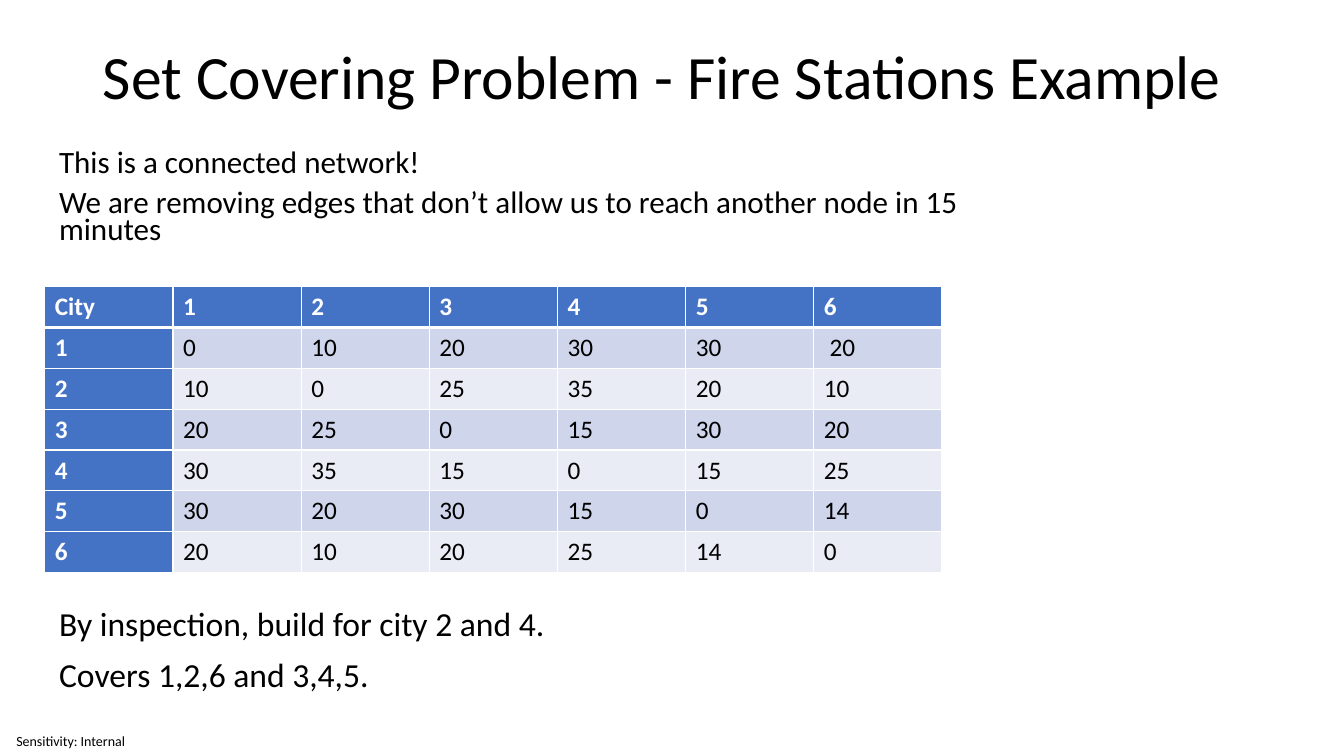
from lxml.etree import SubElement
from pptx import Presentation
from pptx.dml.color import RGBColor
from pptx.enum.text import MSO_ANCHOR, PP_ALIGN
from pptx.oxml.ns import qn
from pptx.util import Cm, Pt

BLACK, WHITE, BLUE = "000000", "FFFFFF", "4472C4"
BANDS = ("CFD5EA", "E9EBF5")


def color(value):
    return RGBColor.from_string(value)


class SlideBuilder:
    """Holds the style and the current slide."""

    font_name = "Calibri"

    def __init__(self, slide):
        self.slide = slide

    def add_text(self, paragraph, text, size, text_color=BLACK, bold=False):
        run = paragraph.add_run()
        run.text = text
        run.font.name = self.font_name
        run.font.size = Pt(size)
        run.font.bold = bold
        run.font.color.rgb = color(text_color)

    def title(self, text, left, top, width, height, size):
        shape = self.slide.shapes.title
        shape.left, shape.top = Cm(left), Cm(top)
        shape.width, shape.height = Cm(width), Cm(height)
        shape.text_frame.vertical_anchor = MSO_ANCHOR.MIDDLE
        paragraph = shape.text_frame.paragraphs[0]
        paragraph.alignment = PP_ALIGN.LEFT
        paragraph.line_spacing = 0.9
        self.add_text(paragraph, text, size)

    def text_box(self, lines, left, top, width, height, size, spacing=1.0):
        shape = self.slide.shapes.add_textbox(Cm(left), Cm(top), Cm(width), Cm(height))
        frame = shape.text_frame
        frame.word_wrap = True
        for index, line in enumerate(lines):
            paragraph = frame.add_paragraph() if index else frame.paragraphs[0]
            paragraph.line_spacing = spacing
            if index:
                paragraph.space_before = Pt(10)
            self.add_text(paragraph, line, size)
        return frame

    def border(self, cell, side, width):
        line = SubElement(cell._tc.get_or_add_tcPr(), qn(f"a:ln{side}"), w=str(Pt(width)))
        fill = SubElement(line, qn("a:solidFill"))
        SubElement(fill, qn("a:srgbClr"), val=WHITE)

    def table(self, rows, left, top, column_width, row_height, size):
        shape = self.slide.shapes.add_table(
            len(rows), len(rows[0]), Cm(left), Cm(top),
            Cm(column_width * len(rows[0])), Cm(row_height * len(rows)))
        table = shape.table
        table.first_col = True
        for row_index, values in enumerate(rows):
            table.rows[row_index].height = Cm(row_height)
            for column_index, value in enumerate(values):
                cell = table.cell(row_index, column_index)
                heading = row_index == 0 or column_index == 0
                # Thick rule between the header row and the first city
                thick_side = {0: "B", 1: "T"}.get(row_index)
                for side in "LRTB":
                    self.border(cell, side, 3 if side == thick_side else 1)
                cell.fill.solid()
                cell.fill.fore_color.rgb = color(BLUE if heading else BANDS[(row_index - 1) % 2])
                self.add_text(cell.text_frame.paragraphs[0], value, size,
                              WHITE if heading else BLACK, heading)
        for column in table.columns:
            column.width = Cm(column_width)


def main():
    presentation = Presentation()
    presentation.slide_width, presentation.slide_height = Cm(33.87), Cm(19.05)
    builder = SlideBuilder(presentation.slides.add_slide(presentation.slide_layouts[5]))

    # Sensitivity label
    label = builder.text_box(["Sensitivity: Internal"], 0, 18.31, 3.56, 0.74, 10)
    label.margin_left = label.margin_right = label.margin_top = label.margin_bottom = 0
    label.vertical_anchor = MSO_ANCHOR.MIDDLE
    label.paragraphs[0].alignment = PP_ALIGN.CENTER

    # Title and introduction
    builder.title("Set Covering Problem - Fire Stations Example", 2.34, 1.02, 29.2, 1.96, 44)
    builder.text_box(
        ["This is a connected network!",
         "We are removing edges that don’t allow us to reach another node in 15 minutes"],
        1.24, 3.73, 25.48, 2.74, 22.2, 0.7)

    # Travel times between cities, in minutes
    travel_times = [
        ["City", "1", "2", "3", "4", "5", "6"],
        ["1", "0", "10", "20", "30", "30", " 20"],
        ["2", "10", "0", "25", "35", "20", "10"],
        ["3", "20", "25", "0", "15", "30", "20"],
        ["4", "30", "35", "15", "0", "15", "25"],
        ["5", "30", "20", "30", "15", "0", "14"],
        ["6", "20", "10", "20", "25", "14", "0"],
    ]
    builder.table(travel_times, 1.13, 7.22, 3.23, 1.03, 18)

    # Solution
    builder.text_box(
        ["By inspection, build for city 2 and 4.", "Covers 1,2,6 and 3,4,5."],
        1.24, 15.19, 25.48, 2.74, 24, 0.9)

    presentation.save("out.pptx")


if __name__ == "__main__":
    main()
